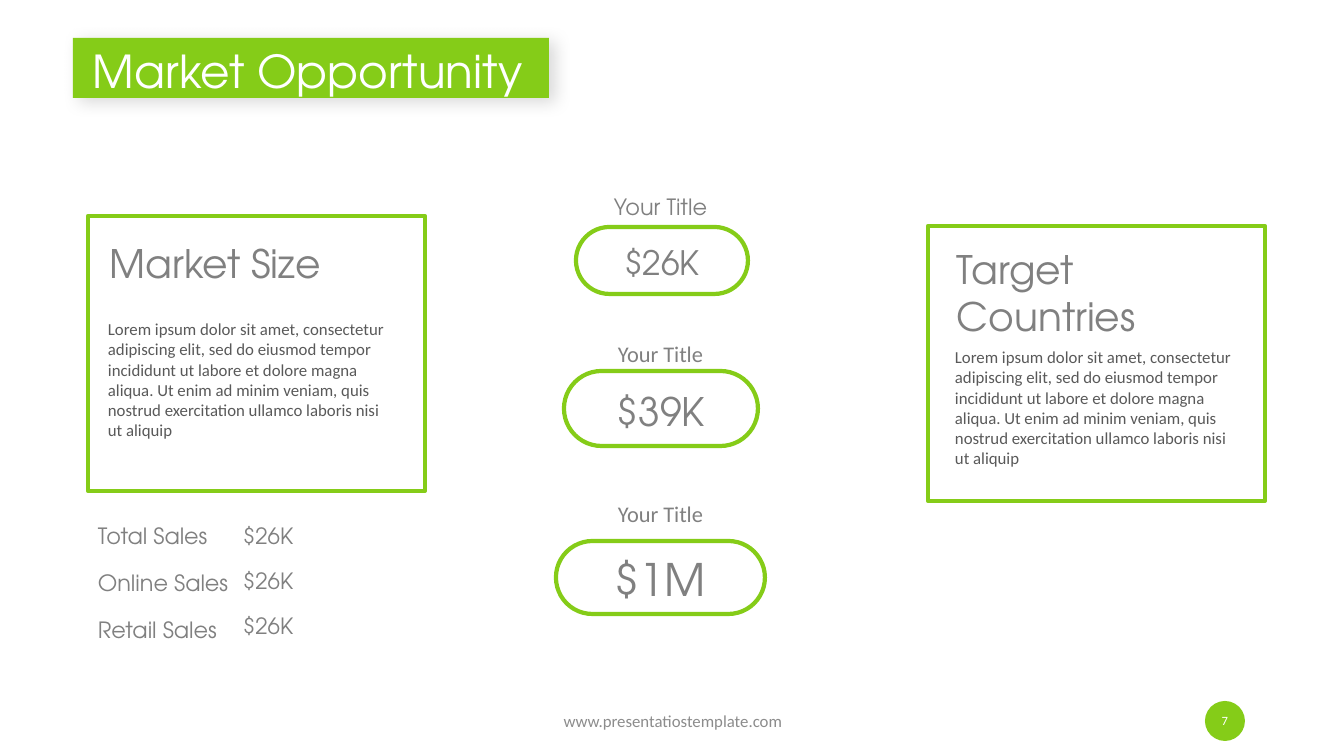
from lxml import etree
from pptx import Presentation
from pptx.dml.color import RGBColor
from pptx.enum.shapes import MSO_SHAPE
from pptx.enum.text import MSO_ANCHOR, PP_ALIGN
from pptx.oxml.ns import qn
from pptx.util import Pt

LOREM = ("Lorem ipsum dolor sit amet, consectetur adipiscing elit, sed do eiusmod tempor "
         "incididunt ut labore et dolore magna aliqua. Ut enim ad minim veniam, quis nostrud "
         "exercitation ullamco laboris nisi ut aliquip")
TITLE = "Market Opportunity"
SITE = "www.presentatiostemplate.com"
PAGE_NUMBER = "7"
HEAD_FONT = "TeX Gyre Adventor"
BODY_FONT = "Calibri"

PANELS = [
    {"frame": (88, 216), "heading": "Market Size", "heading_at": (100, 234, 247, 57),
     "body_at": (98, 314, 305, 132)},
    {"frame": (928, 226), "heading": "Target Countries", "heading_at": (947, 240, 304, 57),
     "body_at": (945, 342, 305, 132)},
]
SALES = [("Total Sales", "$26K"), ("Online Sales", "$26K"), ("Retail Sales", "$26K")]
FIGURES = [
    ("Your Title", 188, HEAD_FONT, "$26K", 24, (576, 227, 172, 67), (10, 5, 10, 0)),
    ("Your Title", 335, BODY_FONT, "$39K", 28, (564, 371, 194, 75), (10, 5, 10, 0)),
    ("Your Title", 495, BODY_FONT, "$1M", 32, (556, 541, 209, 73), (10, 0, 10, 10)),
]

GREEN = RGBColor(0x85, 0xCC, 0x18)
WHITE = RGBColor(0xFF, 0xFF, 0xFF)
GREY = RGBColor(0x80, 0x80, 0x80)
DARK_GREY = RGBColor(0x59, 0x59, 0x59)
FOOTER_GREY = RGBColor(0x8C, 0x8C, 0x8C)

PIXEL = 914400 / 100.8
SALES_TOP, LABEL_STEP, VALUE_STEP = 517, 47, 45


def px(*lengths):
    return [round(length * PIXEL) for length in lengths]


def write(shape, text, size, font, color, align=PP_ALIGN.LEFT,
          anchor=MSO_ANCHOR.TOP, insets=(10, 5, 10, 5), after=12):
    frame = shape.text_frame
    frame.word_wrap = True
    frame.vertical_anchor = anchor
    (frame.margin_left, frame.margin_top,
     frame.margin_right, frame.margin_bottom) = px(*insets)
    para = frame.paragraphs[0]
    para.alignment = align
    para.space_after = Pt(after)
    span = para.add_run()
    span.text = text
    span.font.size = Pt(size)
    span.font.name = font
    span.font.color.rgb = color


def add_text(page, place, *text, **options):
    write(page.shapes.add_textbox(*px(*place)), *text, **options)


def add_solid(page, kind, place):
    shape = page.shapes.add_shape(kind, *px(*place))
    shape.shadow.inherit = False
    shape.fill.solid()
    shape.fill.fore_color.rgb = GREEN
    shape.line.fill.background()
    return shape


def add_outline(page, kind, place):
    shape = page.shapes.add_shape(kind, *px(*place))
    shape.shadow.inherit = False
    shape.fill.background()
    shape.line.color.rgb = GREEN
    shape.line.width = Pt(3)
    return shape


def cast_shadow(shape):
    effects = shape._element.spPr.find(qn("a:effectLst"))
    shadow = etree.SubElement(effects, qn("a:outerShdw"), blurRad=str(Pt(12)),
                              dist=str(Pt(5)), dir="1800000", algn="tl", rotWithShape="0")
    color = etree.SubElement(shadow, qn("a:srgbClr"), val="000000")
    etree.SubElement(color, qn("a:alpha"), val="14000")


def add_panels(page):
    for panel in PANELS:
        add_outline(page, MSO_SHAPE.RECTANGLE, (*panel["frame"], 337, 275))
        add_text(page, panel["heading_at"], panel["heading"], 28, HEAD_FONT, GREY)
        add_text(page, panel["body_at"], LOREM, 12, BODY_FONT, DARK_GREY)


def add_sales(page):
    for row, (label, value) in enumerate(SALES):
        add_text(page, (88, SALES_TOP + row * LABEL_STEP, 174, 37),
                 label, 16, HEAD_FONT, GREY)
        add_text(page, (233, SALES_TOP + row * VALUE_STEP, 86, 37),
                 value, 16, HEAD_FONT, GREY)


def add_figures(page):
    for label, top, font, value, size, place, insets in FIGURES:
        add_text(page, (583, top, 155, 37), label, 16, font, GREY, align=PP_ALIGN.CENTER)
        pill = add_outline(page, MSO_SHAPE.ROUNDED_RECTANGLE, place)
        pill.adjustments[0] = 0.5
        write(pill, value, size, HEAD_FONT, GREY, align=PP_ALIGN.CENTER, insets=insets)


def main():
    deck = Presentation()
    deck.slide_width, deck.slide_height = px(1344, 756)
    page = deck.slides.add_slide(deck.slide_layouts[6])

    banner = add_solid(page, MSO_SHAPE.RECTANGLE, (73, 38, 476, 60))
    cast_shadow(banner)
    write(banner, TITLE, 32.4, HEAD_FONT, WHITE, anchor=MSO_ANCHOR.MIDDLE,
          insets=(20, 5, 20, 0), after=0)

    add_panels(page)
    add_sales(page)
    add_figures(page)

    add_text(page, (446, 701, 454, 40), SITE, 12, BODY_FONT, FOOTER_GREY,
             align=PP_ALIGN.CENTER, anchor=MSO_ANCHOR.MIDDLE, after=0)
    badge = add_solid(page, MSO_SHAPE.FLOWCHART_CONNECTOR, (1205, 701, 40, 40))
    write(badge, PAGE_NUMBER, 9, BODY_FONT, WHITE, align=PP_ALIGN.CENTER,
          anchor=MSO_ANCHOR.MIDDLE, insets=(0, 5, 0, 5), after=0)
    deck.save("out.pptx")


if __name__ == "__main__":
    main()
